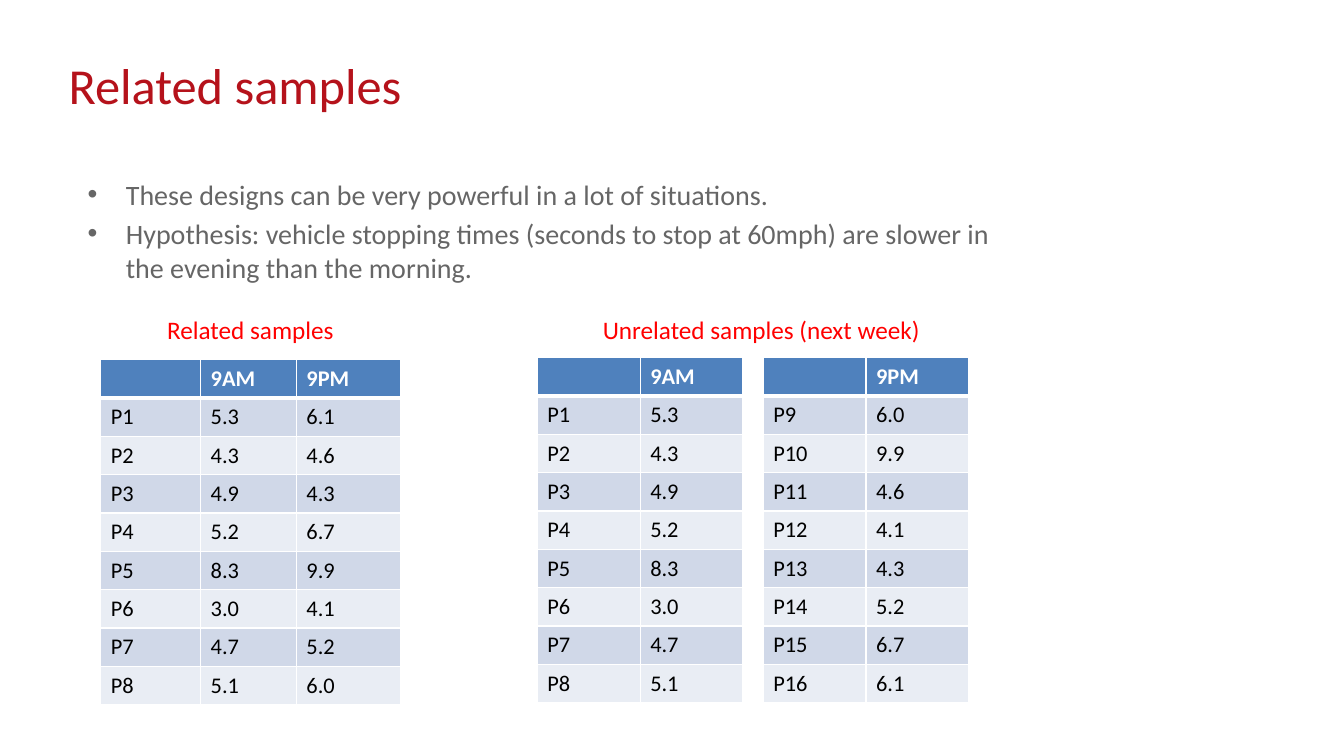
from lxml import etree
from pptx import Presentation
from pptx import util as u
from pptx.dml import color
from pptx.enum import text
from pptx.oxml import ns

FONT = "Calibri"
AM = ["5.3", "4.3", "4.9", "5.2", "8.3", "3.0", "4.7", "5.1"]
PM = ["6.1", "4.6", "4.3", "6.7", "9.9", "4.1", "5.2", "6.0"]
LATE = ["6.0", "9.9", "4.6", "4.1", "4.3", "5.2", "6.7", "6.1"]


def rgb(code):
    """Turn a hex string into a colour."""
    return color.RGBColor.from_string(code)


def put(para, words, size=16, ink="000000", bold=False):
    """Add formatted text to a paragraph."""
    run = para.add_run()
    run.text = words
    run.font.name = FONT
    run.font.size = u.Pt(size)
    run.font.bold = bold
    run.font.color.rgb = rgb(ink)


def box(slide, left, top, width, height, wrap=True):
    """Add a text box and return its frame."""
    shape = slide.shapes.add_textbox(*map(u.Inches, (left, top, width, height)))
    shape.text_frame.word_wrap = wrap
    return shape.text_frame


def title(slide, words):
    """Place and fill the title."""
    shape = slide.shapes.title
    shape.left, shape.top = u.Inches(0.58), u.Inches(0.6)
    shape.width, shape.height = u.Inches(9.87), u.Inches(1.26)
    frame = shape.text_frame
    frame.vertical_anchor = text.MSO_ANCHOR.TOP
    para = frame.paragraphs[0]
    para.alignment = text.PP_ALIGN.LEFT
    para.line_spacing = u.Pt(35)
    put(para, words, size=36, ink="B5121B")


def points(slide, items):
    """Add the bulleted list."""
    frame = box(slide, 0.77, 1.71, 9.21, 1.25)
    for i, words in enumerate(items):
        para = frame.add_paragraph() if i else frame.paragraphs[0]
        para.space_before = u.Pt(4)
        put(para, words, size=20, ink="666666")
        props = para._p.get_or_add_pPr()
        props.set("marL", str(u.Inches(0.38)))
        props.set("indent", str(u.Inches(-0.38)))
        font = etree.SubElement(props, ns.qn("a:buFont"))
        font.set("typeface", "Arial")
        etree.SubElement(props, ns.qn("a:buChar")).set("char", "•")


def edge(cell, side, width):
    """Draw one white border of a cell."""
    line = etree.SubElement(cell._tc.get_or_add_tcPr(), ns.qn("a:ln" + side))
    line.set("w", str(u.Pt(width)))
    fill = etree.SubElement(line, ns.qn("a:solidFill"))
    etree.SubElement(fill, ns.qn("a:srgbClr")).set("val", "FFFFFF")


def grid(slide, left, top, widths, heads, first, *series):
    """Add a table of participants, numbered from first, and their times."""
    names = [f"P{first + i}" for i in range(len(series[0]))]
    rows = [("", *heads), *zip(names, *series)]
    high = 0.38
    frame = slide.shapes.add_table(
        len(rows), len(widths), u.Inches(left), u.Inches(top),
        u.Inches(sum(widths)), u.Inches(high * len(rows)))
    table = frame.table
    for col, width in zip(table.columns, widths):
        col.width = u.Inches(width)
    for r, row in enumerate(rows):
        table.rows[r].height = u.Inches(high)
        for c, words in enumerate(row):
            cell = table.cell(r, c)
            cell.margin_top = cell.margin_bottom = 0
            cell.vertical_anchor = text.MSO_ANCHOR.MIDDLE
            edge(cell, "L", 1)
            edge(cell, "R", 1)
            edge(cell, "T", 3 if r == 1 else 1)
            edge(cell, "B", 3 if r == 0 else 1)
            cell.fill.solid()
            band = "D0D8E8" if r % 2 else "E9EDF4"
            cell.fill.fore_color.rgb = rgb(band if r else "4F81BD")
            if words:
                put(cell.text_frame.paragraphs[0], words,
                    ink="000000" if r else "FFFFFF", bold=r == 0)


def label(slide, left, width, words):
    """Add a red heading above a table."""
    frame = box(slide, left, 3.07, width, 0.4, wrap=False)
    put(frame.paragraphs[0], words, size=18, ink="FF0000")


def main():
    """Build and save the slide."""
    deck = Presentation()
    deck.slide_width, deck.slide_height = u.Inches(13.33), u.Inches(7.5)
    slide = deck.slides.add_slide(deck.slide_layouts.get_by_name("Title Only"))
    title(slide, "Related samples")
    points(slide, [
        "These designs can be very powerful in a lot of situations.",
        "Hypothesis: vehicle stopping times (seconds to stop at 60mph) "
        "are slower in the evening than the morning."])
    grid(slide, 1, 3.57, [0.99, 0.95, 1.03], ["9AM", "9PM"], 1, AM, PM)
    grid(slide, 5.33, 3.55, [1.02, 1.02], ["9AM"], 1, AM)
    grid(slide, 7.57, 3.55, [1.02, 1.02], ["9PM"], 9, LATE)
    label(slide, 1.56, 1.87, "Related samples")
    label(slide, 5.88, 3.38, "Unrelated samples (next week)")
    deck.save("out.pptx")


if __name__ == "__main__":
    main()
